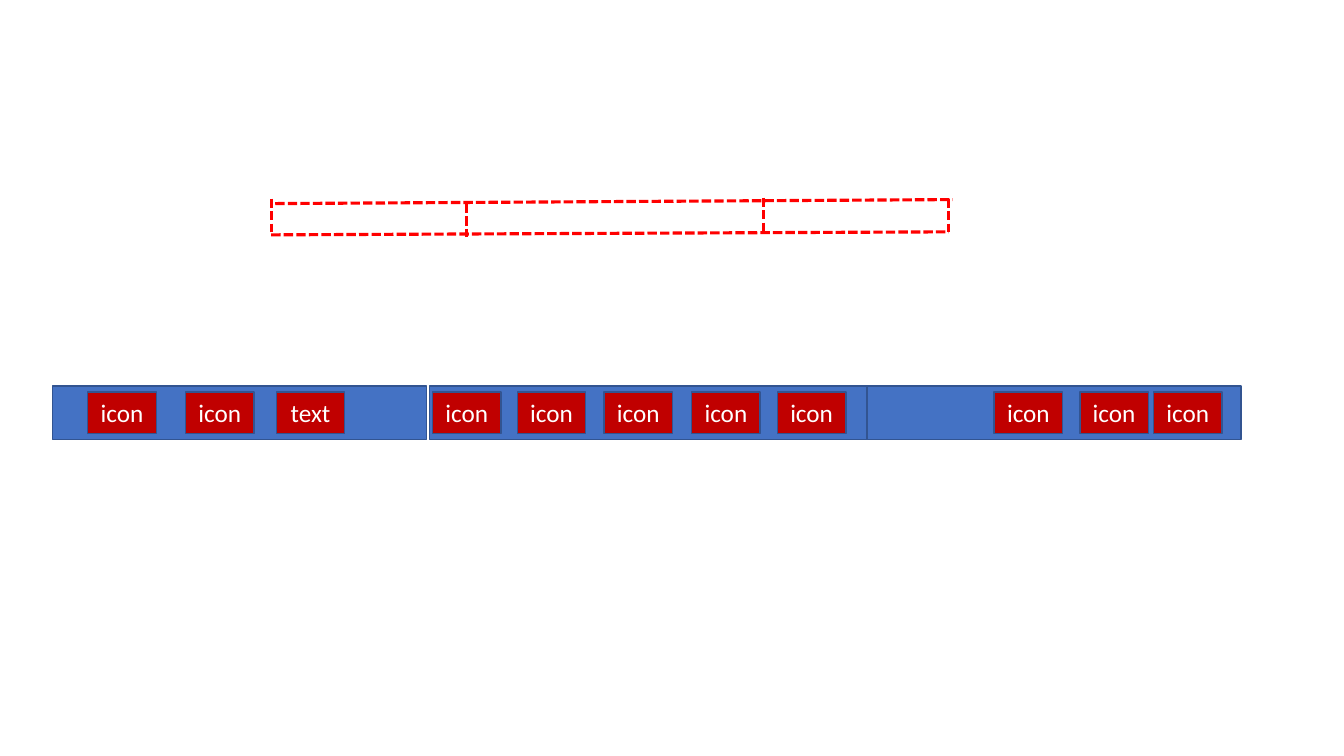
from dataclasses import dataclass

import lxml.etree
import pptx
import pptx.dml.color
import pptx.enum.dml
import pptx.enum.shapes
import pptx.enum.text
import pptx.oxml.ns
import pptx.shapes.autoshape
import pptx.slide
import pptx.util

Inches = pptx.util.Inches
COLORS = {
    "guide": "FF0000",
    "panel": "4472C4",
    "button": "C00000",
    "outline": "325491",
    "text": "FFFFFF",
}
PANEL_TOP, PANEL_HEIGHT = 3.83, 0.53
BUTTON_TOP, BUTTON_WIDTH, BUTTON_HEIGHT = 3.89, 0.68, 0.41
GUIDE_HEIGHT = 0.33


@dataclass(frozen=True)
class Guide:
    x1: float
    y1: float
    x2: float
    y2: float


@dataclass(frozen=True)
class Button:
    left: float
    label: str = "icon"


@dataclass(frozen=True)
class Panel:
    left: float
    width: float
    buttons: tuple[Button, ...]


def upright(x: float, top: float) -> Guide:
    return Guide(x, top, x, top + GUIDE_HEIGHT)


GUIDES = [
    Guide(2.73, 2.02, 9.45, 1.98),
    Guide(2.69, 2.33, 9.41, 2.3),
    upright(2.69, 1.97),
    upright(9.41, 1.97),
    upright(7.57, 1.96),
    upright(4.63, 2.02),
]
PANELS = [
    Panel(0.52, 3.71, (Button(0.87), Button(1.84), Button(2.74, "text"))),
    Panel(4.26, 4.34, tuple(Button(x) for x in (4.29, 5.13, 5.99, 6.86, 7.71))),
    Panel(8.6, 3.71, tuple(Button(x) for x in (9.86, 10.71, 11.44))),
]


def rgb(name: str) -> pptx.dml.color.RGBColor:
    return pptx.dml.color.RGBColor.from_string(COLORS[name])


def add_guide(s: pptx.slide.Slide, guide: Guide) -> None:
    line = s.shapes.add_connector(
        pptx.enum.shapes.MSO_CONNECTOR.STRAIGHT,
        Inches(guide.x1), Inches(guide.y1), Inches(guide.x2), Inches(guide.y2),
    )
    line.line.color.rgb = rgb("guide")
    line.line.width = pptx.util.Pt(2.25)
    line.line.dash_style = pptx.enum.dml.MSO_LINE.SQUARE_DOT
    # An empty effect list turns off the theme's shadow.
    lxml.etree.SubElement(line._element.spPr, pptx.oxml.ns.qn("a:effectLst"))


def add_box(
    s: pptx.slide.Slide, left: float, top: float, width: float, height: float, fill: str
) -> pptx.shapes.autoshape.Shape:
    sp = s.shapes.add_shape(
        pptx.enum.shapes.MSO_SHAPE.RECTANGLE,
        Inches(left), Inches(top), Inches(width), Inches(height),
    )
    sp.shadow.inherit = False
    sp.fill.solid()
    sp.fill.fore_color.rgb = rgb(fill)
    sp.line.color.rgb = rgb("outline")
    sp.line.width = pptx.util.Pt(1)
    return sp


def add_button(s: pptx.slide.Slide, button: Button) -> None:
    sp = add_box(s, button.left, BUTTON_TOP, BUTTON_WIDTH, BUTTON_HEIGHT, "button")
    tf = sp.text_frame
    tf.text = button.label
    tf.vertical_anchor = pptx.enum.text.MSO_ANCHOR.MIDDLE
    p = tf.paragraphs[0]
    p.alignment = pptx.enum.text.PP_ALIGN.CENTER
    r = p.runs[0]
    r.font.name = "Calibri"
    r.font.size = pptx.util.Pt(18)
    r.font.color.rgb = rgb("text")


def main() -> None:
    prs = pptx.Presentation()
    prs.slide_width, prs.slide_height = Inches(13.33), Inches(7.5)
    s = prs.slides.add_slide(prs.slide_layouts.get_by_name("Blank"))
    for guide in GUIDES:
        add_guide(s, guide)
    for panel in PANELS:
        add_box(s, panel.left, PANEL_TOP, panel.width, PANEL_HEIGHT, "panel")
    for panel in PANELS:
        for button in panel.buttons:
            add_button(s, button)
    prs.save("out.pptx")


if __name__ == "__main__":
    main()
